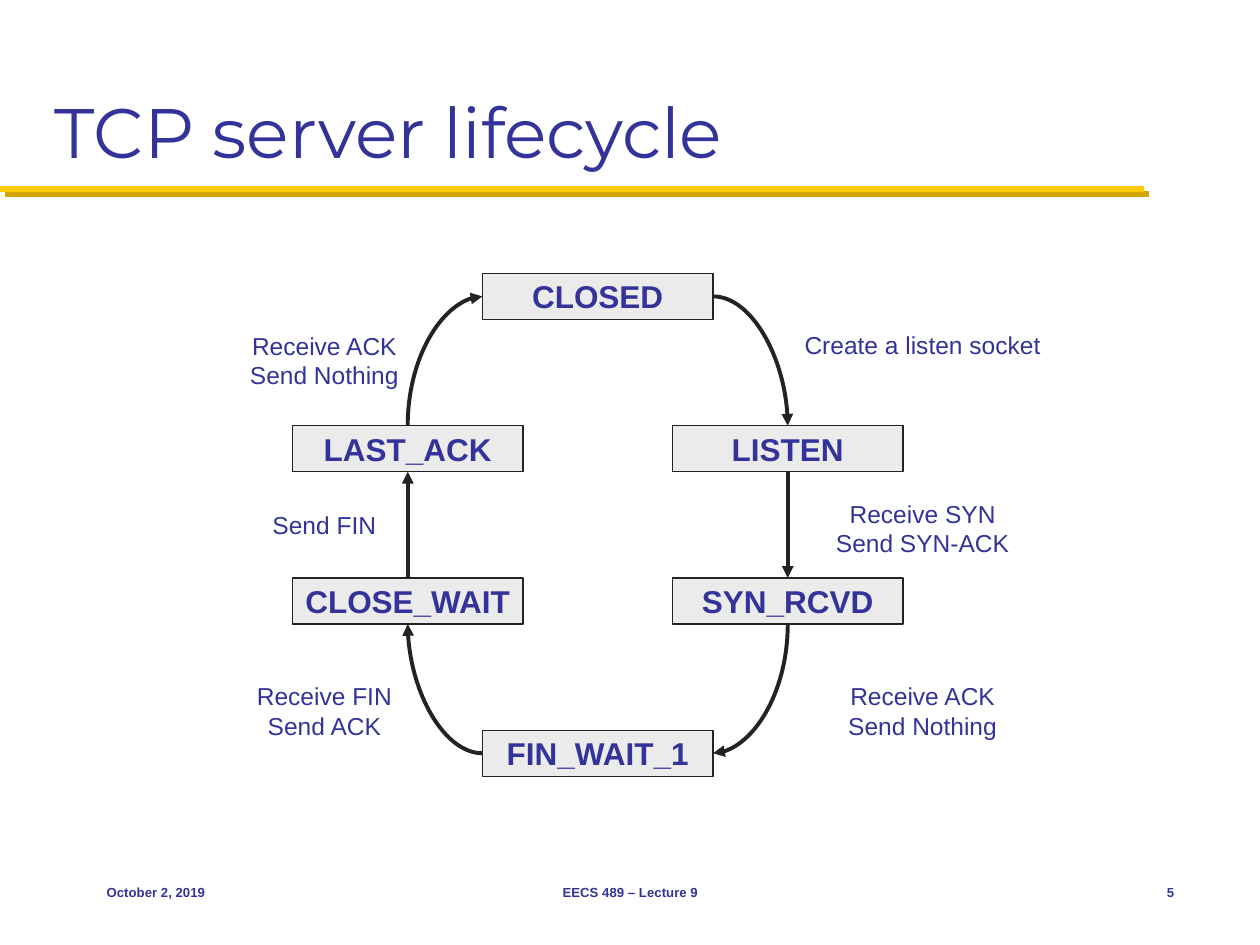
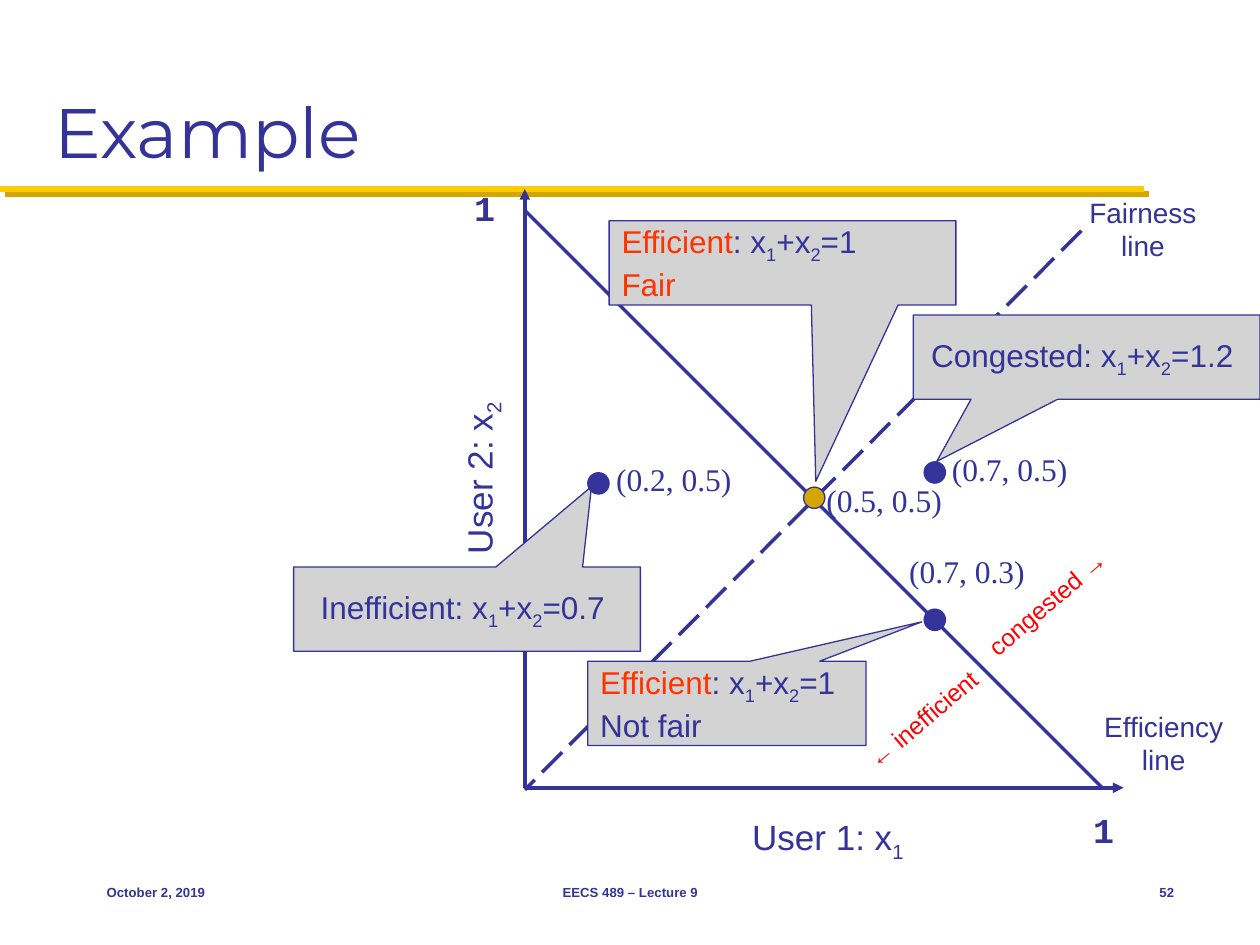
import pptx
import pptx.util
import pptx.dml.color
import pptx.enum.dml
import pptx.enum.shapes
import pptx.enum.text
import pptx.oxml
import pptx.oxml.ns

Cm = pptx.util.Cm
Pt = pptx.util.Pt
Shape = pptx.enum.shapes.MSO_SHAPE
Connector = pptx.enum.shapes.MSO_CONNECTOR
Align = pptx.enum.text.PP_ALIGN
Anchor = pptx.enum.text.MSO_ANCHOR

COLORS = {
    "ink": "333399", "gold": "FFCB05", "dark_gold": "D3A600",
    "box": "EBEBEB", "outline": "232323", "callout": "D3D3D3",
    "orange": "FF3300", "red": "FF0000",
}
TITLE = {"size": 40, "name": "Montserrat"}
FOOTER = {"size": 7.5, "bold": True}
STATE = {"size": 18, "bold": True}
LABEL = {"size": 14}
AXIS = {"size": 20}
UNIT = {"size": 20, "name": "Courier New", "bold": True}
LINE_NAME = {"size": 16}
CALLOUT = {"size": 18}
POINT = {"size": 18, "name": "Times New Roman"}
REGION = {"size": 14, "color": "red"}

# Lengths are centimetres.
# Footer: text, left, width, alignment
DATE = ("October 2, 2019", 1.9, 5.3, Align.LEFT)
COURSE = ("EECS 489 – Lecture 9", 8.68, 8.05, Align.CENTER)

# State: column, row
STATES = {
    "CLOSED": (1, 0), "LISTEN": (2, 1), "SYN_RCVD": (2, 2),
    "FIN_WAIT_1": (1, 3), "CLOSE_WAIT": (0, 2), "LAST_ACK": (0, 1),
}
STATE_WIDTH, STATE_HEIGHT = 4.65, 0.93
FIRST_COLUMN, COLUMN_STEP = 8.22, 3.83
FIRST_ROW, ROW_STEP = 5.51, 3.07

# Connection sites
TOP, LEFT, BOTTOM, RIGHT = range(4)
# Start state, site, end state, site, end with the arrowhead
CURVES = [
    ("CLOSED", RIGHT, "LISTEN", TOP, "tailEnd"),
    ("FIN_WAIT_1", RIGHT, "SYN_RCVD", BOTTOM, "headEnd"),
    ("FIN_WAIT_1", LEFT, "CLOSE_WAIT", BOTTOM, "tailEnd"),
    ("CLOSED", LEFT, "LAST_ACK", TOP, "headEnd"),
]
STRAIGHTS = [
    ("LISTEN", BOTTOM, "SYN_RCVD", TOP, "tailEnd"),
    ("CLOSE_WAIT", TOP, "LAST_ACK", BOTTOM, "tailEnd"),
]
LEFT_LABELS, RIGHT_LABELS = 6.54, 18.6
# Label lines, centre, top
TRANSITIONS = [
    (["Create a listen socket"], RIGHT_LABELS, 6.53),
    (["Receive SYN", "Send SYN-ACK"], RIGHT_LABELS, 9.93),
    (["Receive ACK", "Send Nothing"], RIGHT_LABELS, 13.61),
    (["Receive FIN", "Send ACK"], LEFT_LABELS, 13.61),
    (["Send FIN"], LEFT_LABELS, 10.16),
    (["Receive ACK", "Send Nothing"], LEFT_LABELS, 6.55),
]

ORIGIN_X, ORIGIN_Y, UNIT_LENGTH = 10.58, 15.88, 11.64
# Start, end, arrowhead, dash
GRAPH_LINES = [
    ((ORIGIN_X, ORIGIN_Y), (ORIGIN_X, 3.81), "tailEnd", None),
    ((21.8, 4.65), (ORIGIN_X, 15.92), None, pptx.enum.dml.MSO_LINE.LONG_DASH),
    ((ORIGIN_X, ORIGIN_Y), (22.65, ORIGIN_Y), "tailEnd", None),
    ((ORIGIN_X, ORIGIN_Y - UNIT_LENGTH), (ORIGIN_X + UNIT_LENGTH, ORIGIN_Y), None, None),
]

SUB = {"baseline": -25000}
ORANGE = {"color": "orange"}


def total(name, value, name_format=None):
    """Runs for a name followed by the sum of both users' shares."""
    return [(name, name_format or {}), (": x", {}), ("1", SUB), ("+x", {}),
            ("2", SUB), ("=" + value, {})]


# Paragraphs, centre x, top, height, rotation, format
GRAPH_LABELS = [
    ([[("User 1: x", {}), ("1", SUB)]], 16.69, 16.31, 1.1, 0, AXIS),
    ([[("User 2: x", {}), ("2", SUB)]], 9.65, 9.09, 1.1, 270, AXIS),
    (["Fairness", "line"], 23.04, 3.81, 1.63, 0, LINE_NAME),
    (["Efficiency", "line"], 23.46, 14.17, 1.63, 0, LINE_NAME),
    (["1"], 22.25, 16.18, 1.02, 0, UNIT),
    (["1"], 9.77, 3.63, 1.02, 0, UNIT),
    (["congested →"], 21.1, 11.73, 0.84, 319.6, REGION),
    (["← inefficient"], 18.59, 14.07, 0.84, 319.6, REGION),
]
# Callout: left, top, width, tail, alignment, paragraphs
# Dot: left, top, colour; coordinates: text, left, top
ALLOCATIONS = [
    {"callout": (5.92, 11.43, 6.99, (0.359, -1.453), Align.CENTER,
                 [total("Inefficient", "0.7 ")]),
     "dot": (11.85, 9.53, "ink"), "coordinates": ("(0.2, 0.5)", 12.17, 9.14)},
    {"callout": (18.41, 6.35, 6.99, (-0.432, 1.237), Align.CENTER,
                 [total("Congested", "1.2 ")]),
     "dot": (18.63, 9.31, "ink"), "coordinates": ("(0.7, 0.5)", 18.94, 8.94)},
    {"callout": (12.28, 4.45, 6.99, (0.096, 2.591), Align.LEFT,
                 [total("Efficient", "1", ORANGE), [("Fair", ORANGE)]]),
     "dot": (16.2, 9.82, "dark_gold"), "coordinates": ("(0.5, 0.5)", 16.41, 9.58)},
    {"callout": (11.85, 13.33, 5.61, (0.7, -0.967), Align.LEFT,
                 [total("Efficient", "1", ORANGE), "Not fair"]),
     "dot": (18.63, 12.28, "ink"), "coordinates": ("(0.7, 0.3)", 18.08, 11)},
]
CALLOUT_HEIGHT, DOT_SIZE = 1.7, 0.43


def rgb(name):
    return pptx.dml.color.RGBColor.from_string(COLORS[name])


def write(shape, paragraphs, text_format, align, anchor):
    """Fill a shape with paragraphs, each a string or a list of (text, format) runs."""
    frame = shape.text_frame
    frame.word_wrap = True
    frame.vertical_anchor = anchor
    for index, runs in enumerate(paragraphs):
        paragraph = frame.paragraphs[0] if index == 0 else frame.add_paragraph()
        paragraph.alignment = align
        for text, run_format in [(runs, {})] if isinstance(runs, str) else runs:
            run = paragraph.add_run()
            run.text = text
            values = {"name": "Arial", "color": "ink", **text_format, **run_format}
            run.font.color.rgb = rgb(values.pop("color"))
            if "baseline" in values:
                run.font._element.set("baseline", str(values.pop("baseline")))
            values["size"] = Pt(values["size"])
            for attribute, value in values.items():
                setattr(run.font, attribute, value)


def add_text(slide, box, paragraphs, text_format, align=Align.LEFT, anchor=Anchor.TOP):
    shape = slide.shapes.add_textbox(*map(Cm, box))
    write(shape, paragraphs, text_format, align, anchor)
    return shape


def add_shape(slide, kind, box, fill, line):
    shape = slide.shapes.add_shape(kind, *map(Cm, box))
    shape.shadow.inherit = False
    shape.fill.solid()
    shape.fill.fore_color.rgb = rgb(fill)
    shape.line.color.rgb = rgb(line)
    shape.line.width = Pt(0.75)
    return shape


def add_line(slide, start, end, color, width, arrow=None, dash=None, kind=Connector.STRAIGHT):
    line = slide.shapes.add_connector(kind, *map(Cm, start + end))
    line.line.color.rgb = rgb(color)
    line.line.width = Pt(width)
    if dash:
        line.line.dash_style = dash
    properties = line._element.spPr
    if arrow:
        outline = properties.find(pptx.oxml.ns.qn("a:ln"))
        outline.append(pptx.oxml.parse_xml(
            f'<a:{arrow} {pptx.oxml.ns.nsdecls("a")} type="triangle"/>'))
    properties.append(pptx.oxml.parse_xml(f'<a:effectLst {pptx.oxml.ns.nsdecls("a")}/>'))
    return line


def add_base(presentation, title, number):
    """Add a slide with the shared title, gold rule and footer."""
    slide = presentation.slides.add_slide(presentation.slide_layouts[6])
    rule = add_line(slide, (0, 3.81), (23.06, 3.81), "gold", 3.5)
    rule._element.spPr[-1].append(pptx.oxml.parse_xml(
        f'<a:outerShdw {pptx.oxml.ns.nsdecls("a")} dist="53340" dir="2700000" algn="ctr" '
        f'rotWithShape="0"><a:srgbClr val="{COLORS["dark_gold"]}"/></a:outerShdw>'))
    add_text(slide, (0.85, 0.42, 23.7, 3.18), [title], TITLE, anchor=Anchor.BOTTOM)
    for text, left, width, align in (DATE, COURSE, (str(number), 22.22, 1.7, Align.RIGHT)):
        add_text(slide, (left, 17.36, width, 1.27), [text], FOOTER, align, Anchor.MIDDLE)
    return slide


def add_lifecycle(presentation):
    slide = add_base(presentation, "TCP server lifecycle", 5)
    boxes = {}
    for state, (column, row) in STATES.items():
        left = FIRST_COLUMN + column * COLUMN_STEP - STATE_WIDTH / 2
        top = FIRST_ROW + row * ROW_STEP
        box = add_shape(slide, Shape.RECTANGLE, (left, top, STATE_WIDTH, STATE_HEIGHT),
                        "box", "outline")
        write(box, [state], STATE, Align.CENTER, Anchor.MIDDLE)
        boxes[state] = box
    for kind, arrows in ((Connector.CURVE, CURVES), (Connector.STRAIGHT, STRAIGHTS)):
        for start, start_site, end, end_site, arrow in arrows:
            line = add_line(slide, (0, 0), (0, 0), "outline", 2.25, arrow, kind=kind)
            line.begin_connect(boxes[start], start_site)
            line.end_connect(boxes[end], end_site)
            if kind == Connector.CURVE:
                line._element.spPr.prstGeom.set("prst", "curvedConnector2")
    for lines, center, top in TRANSITIONS:
        height = 0.25 + 0.6 * len(lines)
        add_text(slide, (center - 2.9, top, 5.8, height), lines, LABEL, Align.CENTER)


def add_example(presentation):
    slide = add_base(presentation, "Example", 52)
    for start, end, arrow, dash in GRAPH_LINES:
        add_line(slide, start, end, "ink", 2, arrow, dash)
    for paragraphs, center, top, height, rotation, text_format in GRAPH_LABELS:
        label = add_text(slide, (center - 1.9, top, 3.8, height), paragraphs,
                         text_format, Align.CENTER)
        label.rotation = rotation
    for allocation in ALLOCATIONS:
        left, top, width, tail, align, paragraphs = allocation["callout"]
        callout = add_shape(slide, Shape.RECTANGULAR_CALLOUT,
                            (left, top, width, CALLOUT_HEIGHT), "callout", "ink")
        callout.adjustments[0], callout.adjustments[1] = tail
        write(callout, paragraphs, CALLOUT, align, Anchor.MIDDLE)
        left, top, color = allocation["dot"]
        add_shape(slide, Shape.OVAL, (left, top, DOT_SIZE, DOT_SIZE), color, "ink")
        text, left, top = allocation["coordinates"]
        add_text(slide, (left, top, 3.2, 1.02), [text], POINT)


def main():
    presentation = pptx.Presentation()
    presentation.slide_width, presentation.slide_height = Cm(25.4), Cm(19.05)
    add_lifecycle(presentation)
    add_example(presentation)
    presentation.save("out.pptx")


if __name__ == "__main__":
    main()
